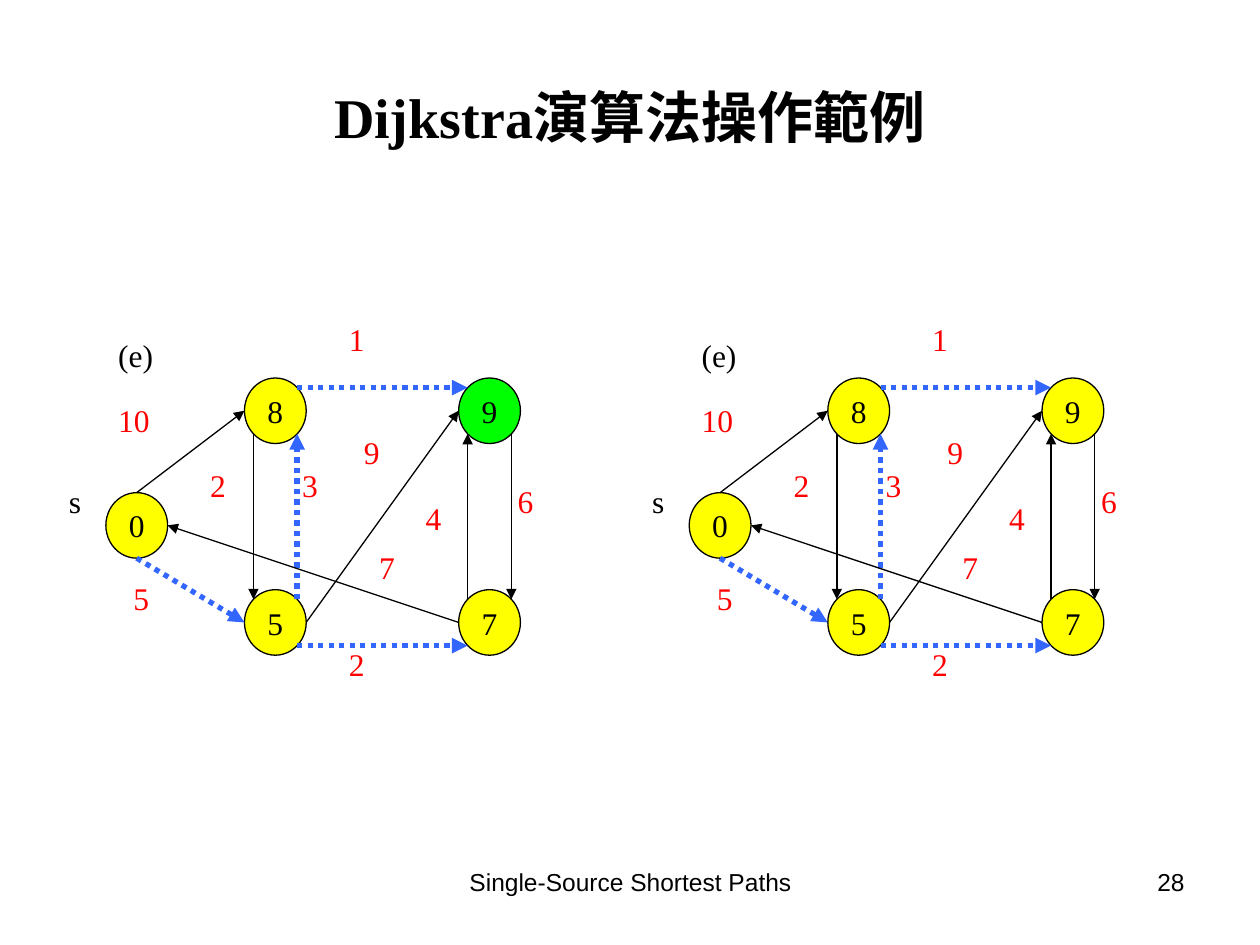
import math
from dataclasses import dataclass
from typing import Any, NamedTuple

import pptx
import pptx.dml.color
import pptx.enum.dml
import pptx.enum.shapes
import pptx.enum.text
import pptx.oxml
import pptx.oxml.ns
import pptx.util

Inches = pptx.util.Inches
Color = pptx.dml.color.RGBColor
Align = pptx.enum.text.PP_ALIGN
Anchor = pptx.enum.text.MSO_ANCHOR


@dataclass(frozen=True)
class Theme:
    ink: Color = Color(0x00, 0x00, 0x00)
    weight: Color = Color(0xFF, 0x00, 0x00)
    tree: Color = Color(0x33, 0x66, 0xFF)
    done: Color = Color(0xFF, 0xFF, 0x00)
    current: Color = Color(0x00, 0xFF, 0x00)
    serif: str = "Times New Roman"
    sans: str = "Arial"
    title_size: int = 32
    graph_size: int = 18
    footer_size: int = 14
    thin: float = 0.75
    thick: float = 3


class Node(NamedTuple):
    distance: str
    left: float
    top: float


class Edge(NamedTuple):
    start: str
    start_side: str
    end: str
    end_side: str
    in_tree: bool = False


class Label(NamedTuple):
    text: str
    left: float
    top: float
    width: float = 0.85
    color: Color = Theme.weight
    align: Any = Align.LEFT


THEME = Theme()
NODE_WIDTH, NODE_HEIGHT = 0.49, 0.52
LABEL_HEIGHT = 0.4
DIAGONAL = math.sqrt(0.5)
SIDES = {
    "N": (0, -1), "S": (0, 1), "W": (-1, 0), "E": (1, 0),
    "NW": (-DIAGONAL, -DIAGONAL), "NE": (DIAGONAL, -DIAGONAL),
    "SW": (-DIAGONAL, DIAGONAL), "SE": (DIAGONAL, DIAGONAL),
}

# Positions belong to the left graph; the right graph is shifted.
NODES = {
    "s": Node("0", 0.84, 3.91),
    "t": Node("8", 1.94, 3),
    "x": Node("9", 3.64, 3),
    "y": Node("5", 1.94, 4.68),
    "z": Node("7", 3.64, 4.68),
}
EDGES = [
    Edge("s", "N", "t", "W"),
    Edge("s", "S", "y", "W", True),
    Edge("t", "NE", "x", "NW", True),
    Edge("y", "SE", "z", "SW", True),
    Edge("t", "SW", "y", "NW"),
    Edge("y", "NE", "t", "SE", True),
    Edge("x", "SE", "z", "NE"),
    Edge("z", "NW", "x", "SW"),
    Edge("z", "W", "s", "E"),
    Edge("y", "E", "x", "W"),
]
LABELS = [
    Label("10", 0.84, 3.13, 0.73),
    Label("5", 0.96, 4.55),
    Label("1", 2.67, 2.49),
    Label("2", 1.57, 3.65),
    Label("3", 2.3, 3.65),
    Label("2", 2.67, 5.07),
    Label("7", 2.91, 4.3),
    Label("9", 2.79, 3.39),
    Label("4", 3.28, 3.91),
    Label("6", 4.01, 3.78),
    Label("(e)", 0.84, 2.62, 1.1, THEME.ink),
    Label("s", 0.35, 3.78, 0.49, THEME.ink, Align.CENTER),
]


def write(shape: Any, text: str, size: int, color: Color, align: Any,
          font_name: str = THEME.serif, bold: bool = False,
          anchor: Any = Anchor.TOP, wrap: bool = True) -> None:
    frame = shape.text_frame
    frame.word_wrap = wrap
    frame.vertical_anchor = anchor
    paragraph = frame.paragraphs[0]
    paragraph.text = text
    paragraph.alignment = align
    font = paragraph.font
    font.name, font.size, font.bold = font_name, pptx.util.Pt(size), bold
    font.color.rgb = color


def add_text(shapes: Any, left: float, top: float, width: float, height: float) -> Any:
    return shapes.add_textbox(Inches(left), Inches(top), Inches(width), Inches(height))


def draw_node(shapes: Any, node: Node, shift: float, fill: Color) -> None:
    shape = shapes.add_shape(
        pptx.enum.shapes.MSO_SHAPE.OVAL, Inches(node.left + shift), Inches(node.top),
        Inches(NODE_WIDTH), Inches(NODE_HEIGHT))
    shape.shadow.inherit = False
    shape.fill.solid()
    shape.fill.fore_color.rgb = fill
    shape.line.color.rgb = THEME.ink
    shape.line.width = pptx.util.Pt(THEME.thin)
    write(shape, node.distance, THEME.graph_size, THEME.ink, Align.CENTER,
          anchor=Anchor.MIDDLE, wrap=False)


def rim_point(node: Node, side: str, shift: float) -> tuple[int, int]:
    """Point on the node's outline in the given compass direction."""
    across, down = SIDES[side]
    return (Inches(node.left + shift + NODE_WIDTH / 2 * (1 + across)),
            Inches(node.top + NODE_HEIGHT / 2 * (1 + down)))


def draw_edge(shapes: Any, edge: Edge, shift: float) -> None:
    connector = shapes.add_connector(
        pptx.enum.shapes.MSO_CONNECTOR.STRAIGHT,
        *rim_point(NODES[edge.start], edge.start_side, shift),
        *rim_point(NODES[edge.end], edge.end_side, shift))
    line = connector.line
    line.color.rgb = THEME.tree if edge.in_tree else THEME.ink
    line.width = pptx.util.Pt(THEME.thick if edge.in_tree else THEME.thin)
    if edge.in_tree:
        line.dash_style = pptx.enum.dml.MSO_LINE.ROUND_DOT
    namespace = pptx.oxml.ns.nsdecls("a")
    properties = connector.element.spPr
    properties.find(pptx.oxml.ns.qn("a:ln")).append(
        pptx.oxml.parse_xml(f'<a:tailEnd {namespace} type="triangle"/>'))
    properties.append(pptx.oxml.parse_xml(f"<a:effectLst {namespace}/>"))


def draw_graph(slide: Any, shift: float, current: str | None = None) -> None:
    """Draw one state of the algorithm, with the current node highlighted."""
    shapes = slide.shapes.add_group_shape().shapes
    for name, node in NODES.items():
        draw_node(shapes, node, shift, THEME.current if name == current else THEME.done)
    for edge in EDGES:
        draw_edge(shapes, edge, shift)
    for label in LABELS:
        box = add_text(shapes, label.left + shift, label.top, label.width, LABEL_HEIGHT)
        write(box, label.text, THEME.graph_size, label.color, label.align)


def main() -> None:
    presentation = pptx.Presentation()
    presentation.slide_width, presentation.slide_height = Inches(10), Inches(7.5)
    slide = presentation.slides.add_slide(presentation.slide_layouts[6])

    write(add_text(slide.shapes, 0.5, 0.3, 9, 1.25), "Dijkstra演算法操作範例",
          THEME.title_size, THEME.ink, Align.CENTER, bold=True, anchor=Anchor.MIDDLE)
    draw_graph(slide, 0, current="x")
    draw_graph(slide, 4.63)
    write(add_text(slide.shapes, 3.42, 6.83, 3.17, 0.52), "Single-Source Shortest Paths",
          THEME.footer_size, THEME.ink, Align.CENTER, THEME.sans)
    write(add_text(slide.shapes, 7.17, 6.83, 2.33, 0.52), "28",
          THEME.footer_size, THEME.ink, Align.RIGHT, THEME.sans)
    presentation.save("out.pptx")


if __name__ == "__main__":
    main()
